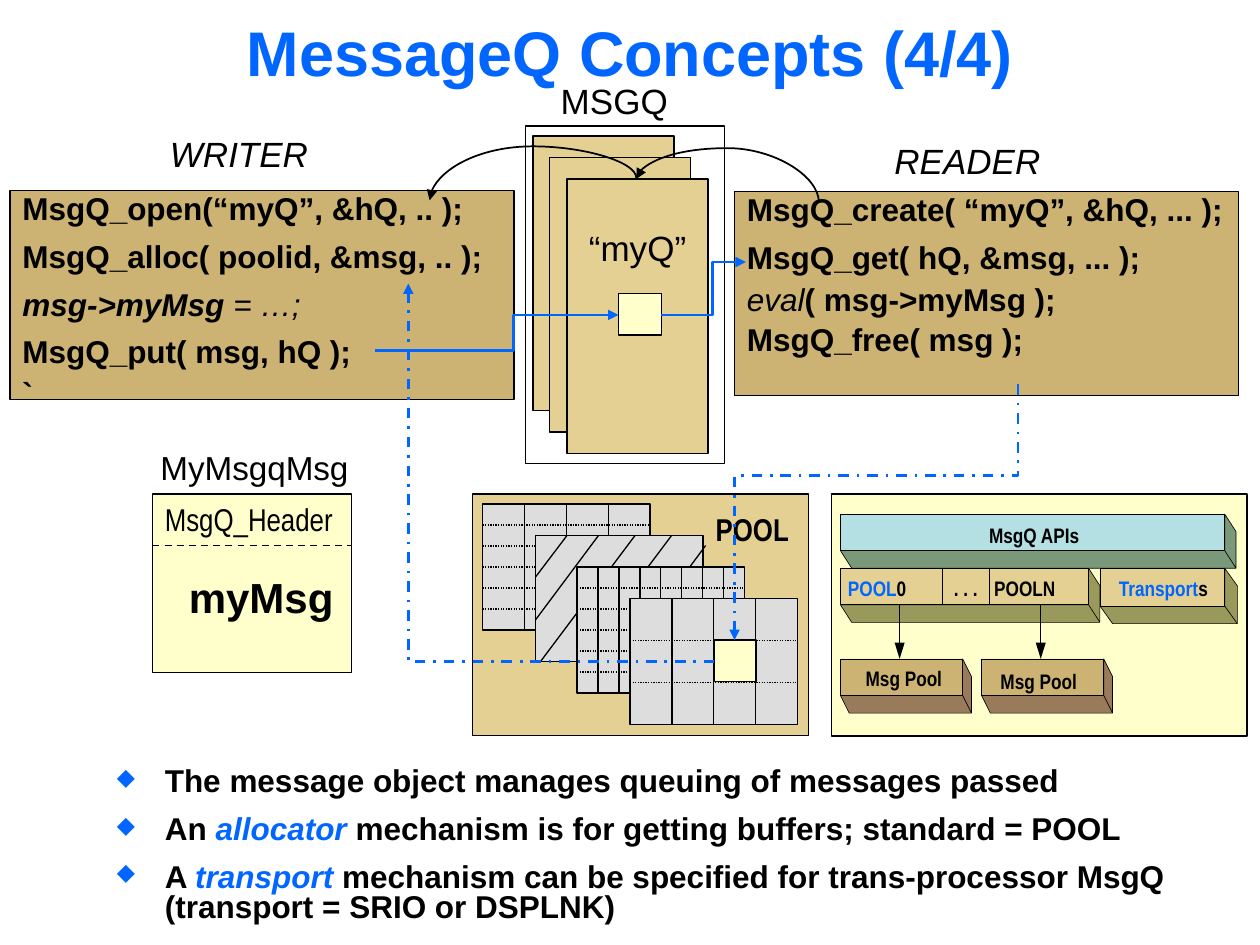
from lxml import etree
from pptx import Presentation
from pptx import util as u
from pptx.dml.color import RGBColor
from pptx.enum import dml, shapes, text
from pptx.oxml import ns

BLUE = RGBColor(0x00, 0x66, 0xFF)
BLACK = RGBColor(0, 0, 0)
WHITE = RGBColor(0xFF, 0xFF, 0xFF)
TAN = RGBColor(0xCC, 0xB3, 0x74)
SAND = RGBColor(0xE5, 0xD0, 0x93)
CREAM = RGBColor(0xFF, 0xFF, 0xCC)
GREY = RGBColor(0xDD, 0xDD, 0xDD)
AQUA = RGBColor(0xB5, 0xE0, 0xE3)
GREEN_SIDE = RGBColor(0x7A, 0x99, 0x7A)
OLIVE_SIDE = RGBColor(0x99, 0x99, 0x5B)
BROWN_SIDE = RGBColor(0x99, 0x7A, 0x5B)
CENTER = text.PP_ALIGN.CENTER
DASH = dml.MSO_LINE.DASH
DASH_DOT = dml.MSO_LINE.DASH_DOT
DOTS = dml.MSO_LINE.ROUND_DOT


def paint(shape, fill, width):
    shape.shadow.inherit = False
    shape.fill.solid()
    shape.fill.fore_color.rgb = fill
    if width:
        shape.line.color.rgb = BLACK
        shape.line.width = u.Pt(width)
    else:
        shape.line.fill.background()
    return shape


def rect(parent, box, fill, width=0.75):
    shape = parent.shapes.add_shape(shapes.MSO_SHAPE.RECTANGLE, *map(u.Inches, box))
    return paint(shape, fill, width)


def polygon(parent, points, fill, width=None):
    first, *rest = [(u.Inches(x), u.Inches(y)) for x, y in points]
    builder = parent.shapes.build_freeform(*first)
    builder.add_line_segments(rest, close=True)
    return paint(builder.convert_to_shape(), fill, width)


def add_runs(par, runs, size, font="Arial", bold=False):
    for words, color, *style in runs:
        run = par.add_run()
        run.text = words
        run.font.size = u.Pt(size)
        run.font.name = font
        run.font.bold = bold and "light" not in style
        run.font.italic = "italic" in style
        run.font.color.rgb = color


def label(parent, box, runs, size, font="Arial", bold=False, align=CENTER, inset=True):
    frame = parent.shapes.add_textbox(*map(u.Inches, box)).text_frame
    frame.word_wrap = False
    if not inset:
        frame.margin_left = frame.margin_right = frame.margin_top = frame.margin_bottom = 0
    frame.paragraphs[0].alignment = align
    add_runs(frame.paragraphs[0], runs, size, font, bold)


def style_line(line, color, width, dash=None, head=False, tail=False):
    line.line.color.rgb = color
    line.line.width = u.Pt(width)
    if dash:
        line.line.dash_style = dash
    props = line._element.spPr
    for tag, wanted in (("a:headEnd", head), ("a:tailEnd", tail)):
        if wanted:
            etree.SubElement(line.line._get_or_add_ln(), ns.qn(tag), type="triangle")
    etree.SubElement(props, ns.qn("a:effectLst"))


def straight(parent, start, end, width=0.75, dash=None):
    line = parent.shapes.add_connector(
        shapes.MSO_CONNECTOR.STRAIGHT, *map(u.Inches, (*start, *end)))
    style_line(line, BLACK, width, dash)


def routed(slide, preset, box, turn=0, flip=False, bend=None, begin=None, end=None,
           color=BLUE, width=1.5, dash=None, head=False):
    line = slide.shapes.add_connector(shapes.MSO_CONNECTOR.ELBOW, 0, 0, 0, 0)
    if begin:
        line.begin_connect(*begin)
    if end:
        line.end_connect(*end)
    frame = line._element.spPr.find(ns.qn("a:xfrm"))
    for key in ("flipH", "flipV"):
        frame.attrib.pop(key, None)
    line.left, line.top, line.width, line.height = map(u.Inches, box)
    if turn:
        frame.set("rot", str(turn * 60000))
    if flip:
        frame.set("flipV", "1")
    geometry = line._element.spPr.find(ns.qn("a:prstGeom"))
    geometry.set("prst", preset)
    if bend is not None:
        guides = geometry.find(ns.qn("a:avLst"))
        etree.SubElement(guides, ns.qn("a:gd"), name="adj1", fmla=f"val {round(bend * 100000)}")
    style_line(line, color, width, dash, head, not head)


def title(slide):
    heading = slide.shapes.title
    heading.left, heading.top, heading.width, heading.height = map(u.Inches, (0, 0, 10, 0.81))
    frame = heading.text_frame
    frame.vertical_anchor = text.MSO_ANCHOR.MIDDLE
    frame.paragraphs[0].alignment = CENTER
    add_runs(frame.paragraphs[0], [("MessageQ Concepts (4/4)", BLUE)], 36, bold=True)


def code_panel(slide, box, lines):
    frame = rect(slide, box, TAN).text_frame
    frame.vertical_anchor = text.MSO_ANCHOR.TOP
    for index, (spacing, runs) in enumerate(lines):
        par = frame.add_paragraph() if index else frame.paragraphs[0]
        par.alignment = text.PP_ALIGN.LEFT
        par.line_spacing = spacing
        par.space_before = u.Pt(10 if index else 0)
        add_runs(par, runs, 18, bold=True)


def sheet(slide, left, top, columns=1, rows=1, slants=()):
    width, height = 1.33, 1
    group = slide.shapes.add_group_shape()
    rect(group, (left, top, width, height), GREY)
    for row in range(1, rows):
        y = top + height * row / rows
        straight(group, (left, y), (left + width, y), dash=DOTS)
    for column in range(1, columns):
        x = left + width * column / columns
        straight(group, (x, top), (x, top + height))
    for x1, y1, x2, y2 in slants:
        straight(group, (left + x1, top + y1), (left + x2, top + y2))


def pool_panel(slide, box):
    left, top = box[:2]
    rect(slide, box, SAND)
    label(slide, (left + 1.83, top + 0.08, 0.78, 0.4), [("POOL", BLACK)], 18, "Arial Narrow", True)
    sheet(slide, left + 0.08, top + 0.08, columns=4, rows=6)
    sheet(slide, left + 0.5, top + 0.33, slants=[
        (0, 0.33, 0.25, 0), (0, 0.67, 0.5, 0), (0.04, 1, 0.79, 0),
        (0.33, 1, 1.08, 0), (0.67, 1, 1.35, 0.08)])
    sheet(slide, left + 0.83, top + 0.58, columns=8, rows=6)
    sheet(slide, left + 1.25, top + 0.83, columns=4, rows=3)
    return rect(slide, (left + 1.92, top + 1.16, 0.33, 0.33), CREAM, 1)


def message_layout(slide, box):
    left, top, width, _ = box
    frame = rect(slide, box, CREAM).text_frame
    frame.word_wrap = False
    frame.vertical_anchor = text.MSO_ANCHOR.TOP
    header = frame.paragraphs[0]
    body = frame.add_paragraph()
    header.alignment = body.alignment = text.PP_ALIGN.LEFT
    add_runs(header, [("MsgQ_Header", BLACK)], 18, "Arial Narrow")
    body.line_spacing = 0.7
    body.space_before = u.Pt(27)
    body._p.get_or_add_pPr().set("marL", str(u.Inches(0.19)))
    add_runs(body, [("myMsg", BLACK)], 24, bold=True)
    label(slide, (left - 0.04, top - 0.42, 1.7, 0.42), [("MyMsgqMsg", BLACK)], 19)
    straight(slide, (left, top + 0.41), (left + width, top + 0.41), 1, DASH)


def queue_stack(slide, box):
    left, top = box[:2]
    rect(slide, box, WHITE)
    label(slide, (left + 0.18, top - 0.42, 1.05, 0.43), [("MSGQ", BLACK)], 20)
    for dx, dy in ((0.06, 0.08), (0.19, 0.25), (0.33, 0.42)):
        queue = rect(slide, (left + dx, top + dy, 1.12, 2.18), SAND)
    frame = queue.text_frame
    frame.word_wrap = False
    frame.vertical_anchor = text.MSO_ANCHOR.TOP
    frame.margin_top = u.Inches(0.38)
    frame.paragraphs[0].alignment = CENTER
    add_runs(frame.paragraphs[0], [("“myQ”", BLACK)], 20)
    return queue, rect(slide, (left + 0.74, top + 1.33, 0.34, 0.33), CREAM, 1)


def slab(slide, box, depth, face, side):
    x, y, w, h = box
    right, bottom, dy = x + w, y + h, 0.14
    polygon(slide, [(x, bottom), (right, bottom), (right, y), (right + depth, y + dy),
                    (right + depth, bottom + dy), (right, bottom),
                    (right + depth, bottom + dy), (x + depth, bottom + dy)], side, 0.38)
    rect(slide, box, face, 0.38)


def architecture(slide, box):
    left, top = box[:2]
    rect(slide, box, CREAM, 1)
    x = left + 0.07
    slab(slide, (x, top + 0.16, 3.05, 0.29), 0.09, AQUA, GREEN_SIDE)
    slab(slide, (x + 2.06, top + 0.59, 0.99, 0.3), 0.1, SAND, OLIVE_SIDE)
    slab(slide, (x, top + 0.59, 1.97, 0.29), 0.09, SAND, OLIVE_SIDE)
    for divider in (0.81, 1.18):
        straight(slide, (x + divider, top + 0.59), (x + divider, top + 0.88), 0.63)
    for pool_x in (x, x + 1.12):
        group = slide.shapes.add_group_shape()
        tip = pool_x + 0.47
        straight(group, (tip, top + 0.88), (tip, top + 1.19), 0.5)
        polygon(group, [(tip - 0.04, top + 1.18), (tip, top + 1.31), (tip + 0.04, top + 1.18)], BLACK)
        slab(slide, (pool_x, top + 1.31, 0.97, 0.29), 0.07, TAN, BROWN_SIDE)
    for dx, dy, width, runs in (
            (1.18, 0.23, 0.73, [("MsgQ APIs", BLACK)]),
            (2.21, 0.65, 0.72, [("Transport", BLUE), ("s", BLACK)]),
            (0.06, 0.65, 0.47, [("POOL", BLUE), ("0", BLACK)]),
            (0.9, 0.65, 0.19, [(". . .", BLACK)]),
            (1.22, 0.65, 0.49, [("POOLN", BLACK)]),
            (0.2, 1.36, 0.61, [("Msg Pool", BLACK)]),
            (1.27, 1.39, 0.61, [("Msg Pool", BLACK)])):
        label(slide, (x + dx, top + dy, width, 0.16), runs, 12, "Arial Narrow", True,
              text.PP_ALIGN.LEFT, inset=False)


def bullets(slide, box, points):
    frame = slide.shapes.add_textbox(*map(u.Inches, box)).text_frame
    frame.word_wrap = True
    for index, lines in enumerate(points):
        par = frame.add_paragraph() if index else frame.paragraphs[0]
        par.line_spacing = 0.8
        par.space_before = u.Pt(10 if index else 0)
        props = par._p.get_or_add_pPr()
        props.set("marL", str(u.Inches(0.38)))
        props.set("indent", str(u.Inches(-0.38)))
        color = etree.SubElement(props, ns.qn("a:buClr"))
        etree.SubElement(color, ns.qn("a:srgbClr"), val=str(BLUE))
        etree.SubElement(props, ns.qn("a:buSzPct"), val="75000")
        etree.SubElement(props, ns.qn("a:buChar"), char="◆")
        for number, runs in enumerate(lines):
            if number:
                par.add_line_break()
            add_runs(par, runs, 18, bold=True)


def main():
    deck = Presentation()
    deck.slide_width, deck.slide_height = u.Inches(10), u.Inches(7.5)
    slide = deck.slides.add_slide(deck.slide_layouts[5])
    title(slide)
    code_panel(slide, (0.08, 1.51, 4, 1.66), [
        (0.8, [("MsgQ_open(“myQ”, &hQ, .. );", BLACK)]),
        (0.8, [("MsgQ_alloc( poolid, &msg, .. );", BLACK)]),
        (0.8, [("msg->myMsg", BLACK, "italic"), (" = …;", BLACK, "italic", "light")]),
        (0.8, [("MsgQ_put( msg, hQ );", BLACK)]),
        (0.6, [("`", BLACK)])])
    code_panel(slide, (5.83, 1.52, 4, 1.62), [
        (0.8, [("MsgQ_create( “myQ”, &hQ, ... );", BLACK)]),
        (0.8, [("MsgQ_get( hQ, &msg, ... );", BLACK)]),
        (0.6, [("eval", BLACK, "italic", "light"), ("( msg->myMsg );", BLACK)]),
        (0.6, [("MsgQ_free( msg );", BLACK)])])
    for role, box in (("WRITER", (1.25, 1, 1.32, 0.43)), ("READER", (7, 1.06, 1.5, 0.43))):
        label(slide, box, [(role, BLACK, "italic")], 20, align=text.PP_ALIGN.LEFT)
    buffer = pool_panel(slide, (3.75, 3.92, 2.67, 1.92))
    message_layout(slide, (1.21, 3.92, 1.58, 1.42))
    queue, queued = queue_stack(slide, (4.17, 1, 1.58, 2.68))
    architecture(slide, (6.6, 3.92, 3.3, 1.92))

    routed(slide, "bentConnector2", (3.24, 2.25, 2.43, 3), 180, begin=(buffer, 1), dash=DASH_DOT)
    routed(slide, "bentConnector3", (2.98, 2.5, 1.93, 0.28), flip=True, bend=0.567, end=(queued, 1))
    routed(slide, "curvedConnector3", (4.14, 0.68, 0.18, 1.64), 270, bend=2.385,
           end=(queue, 0), color=BLACK, width=1, head=True)
    routed(slide, "curvedConnector3", (5.68, 0.79, 0.19, 1.45), 90, True, -1.286,
           begin=(queue, 0), color=BLACK, width=1, head=True)
    routed(slide, "bentConnector3", (5.94, 2.94, 2.03, 2.25), 90, bend=0.356,
           end=(buffer, 0), dash=DASH_DOT)
    routed(slide, "bentConnector3", (5.25, 2.08, 0.67, 0.42), flip=True, bend=0.607, begin=(queued, 3))

    bullets(slide, (0.83, 6.05, 8.59, 1.37), [
        [[("The message object manages queuing of messages passed", BLACK)]],
        [[("An ", BLACK), ("allocator", BLUE, "italic"),
          (" mechanism is for getting buffers; standard = POOL", BLACK)]],
        [[("A ", BLACK), ("transport", BLUE, "italic"),
          (" mechanism can be specified for trans-processor MsgQ", BLACK)],
         [("(transport = SRIO or DSPLNK)", BLACK)]]])
    deck.save("out.pptx")


if __name__ == "__main__":
    main()
